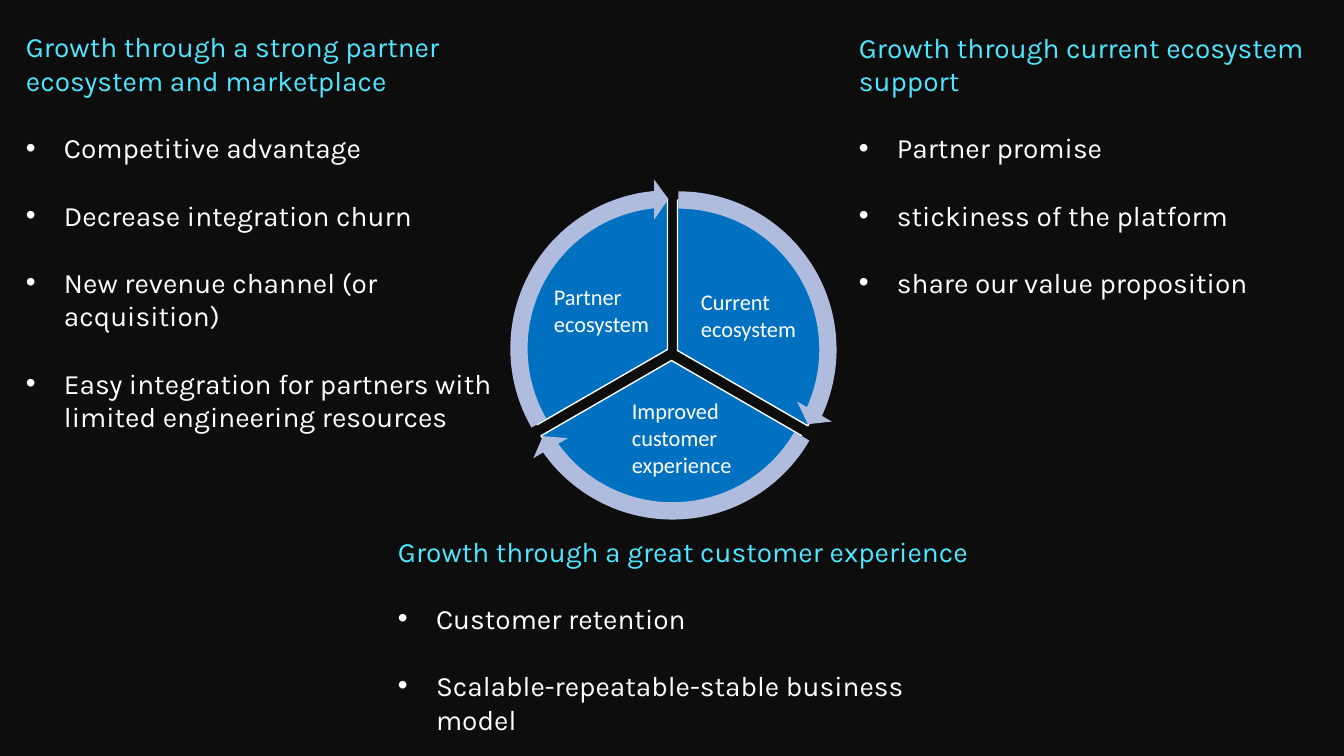
from dataclasses import dataclass

from lxml.etree import SubElement
from pptx import Presentation
from pptx.dml.color import RGBColor
from pptx.enum.shapes import MSO_SHAPE as Preset
from pptx.enum.text import MSO_AUTO_SIZE as AutoSize
from pptx.oxml.ns import qn
from pptx.util import Emu, Pt

EMU_PER_PIXEL = 914400 / 100.8
ANGLE_UNIT = 0.6  # adjustment value per degree


@dataclass(frozen=True)
class Theme:
    """Colours, fonts and sizes of the slide."""
    background: str = "0D0D0D"
    heading: str = "50E6FF"
    text: str = "FFFFFF"
    sector: str = "0070C0"
    arrow: str = "B0BCDE"
    body_font: str = "Karla"
    label_font: str = "Calibri"
    body_size: int = 20
    label_size: int = 16
    paragraph_gap: int = 24
    bullet_indent: int = 38


def pixels(length):
    """Turn pixels into EMU."""
    return Emu(round(length * EMU_PER_PIXEL))


def write(paragraph, text, *, font, size, color, before=0, indent=0):
    """Fill a paragraph; a positive indent makes it a bullet."""
    run = paragraph.add_run()
    run.text = text
    run.font.name = font
    run.font.size = Pt(size)
    run.font.color.rgb = RGBColor.from_string(color)
    paragraph.space_before = Pt(before)
    if indent:
        properties = paragraph._p.get_or_add_pPr()
        properties.set("marL", str(pixels(indent)))
        properties.set("indent", str(-pixels(indent)))
        SubElement(properties, qn("a:buFont"), typeface="Arial")
        SubElement(properties, qn("a:buChar"), char="•")


class SlideBuilder:
    """Adds elements in one style to the current slide."""

    def __init__(self, slide, theme):
        """Keep slide and theme, and paint the background."""
        self.slide = slide
        self.theme = theme
        fill = slide.background.fill
        fill.solid()
        fill.fore_color.rgb = RGBColor.from_string(theme.background)

    def text_frame(self, box):
        """Add a wrapping text box and return its frame."""
        frame = self.slide.shapes.add_textbox(*map(pixels, box)).text_frame
        frame.word_wrap = True
        frame.auto_size = AutoSize.SHAPE_TO_FIT_TEXT
        return frame

    def growth_list(self, box, heading, bullets):
        """Add a heading with bullets below it."""
        theme = self.theme
        frame = self.text_frame(box)
        frame.margin_left = frame.margin_right = 0
        frame.margin_top = frame.margin_bottom = 0
        style = dict(font=theme.body_font, size=theme.body_size,
                     before=theme.paragraph_gap)
        write(frame.paragraphs[0], heading, color=theme.heading, **style)
        for bullet in bullets:
            write(frame.add_paragraph(), bullet, color=theme.text,
                  indent=theme.bullet_indent, **style)

    def label(self, box, text):
        """Add the label of a sector."""
        theme = self.theme
        write(self.text_frame(box).paragraphs[0], text, font=theme.label_font,
              size=theme.label_size, color=theme.text)

    def round_shape(self, preset, left, top, size, adjustments, fill, line=None):
        """Add an adjusted preset in a square frame."""
        shape = self.slide.shapes.add_shape(
            preset, *map(pixels, (left, top, size, size)))
        for index, value in enumerate(adjustments):
            shape.adjustments[index] = value
        shape.shadow.inherit = False
        shape.fill.solid()
        shape.fill.fore_color.rgb = RGBColor.from_string(fill)
        if line:
            shape.line.color.rgb = RGBColor.from_string(line)
            shape.line.width = Pt(1)
        else:
            shape.line.fill.background()

    def sector(self, left, top, start):
        """Add a third of the pie, from a start angle in degrees."""
        angles = [start * ANGLE_UNIT, (start + 120) % 360 * ANGLE_UNIT]
        self.round_shape(Preset.PIE, left, top, 301, angles,
                         self.theme.sector, self.theme.text)

    def cycle_arrow(self, left, top, start):
        """Add the arrow that runs round a sector."""
        head_angle = 3.275
        end = (start + 120) % 360 * ANGLE_UNIT - head_angle
        self.round_shape(Preset.CIRCULAR_ARROW, left, top, 339,
                         [0.051, head_angle, end, start * ANGLE_UNIT, 0.059],
                         self.theme.arrow)


GROWTH_LISTS = [
    ((859, 30, 446, 271), "Growth through current ecosystem support",
     ["Partner promise", "stickiness of the platform",
      "share our value proposition"]),
    ((398, 534, 587, 169), "Growth through a great customer experience",
     ["Customer retention", "Scalable-repeatable-stable business model"]),
    ((26, 30, 477, 407),
     "Growth through a strong partner ecosystem and marketplace",
     ["Competitive advantage", "Decrease integration churn",
      "New revenue channel (or acquisition)",
      "Easy integration for partners with limited engineering resources"]),
]
# start angle, sector corner, arrow corner
CYCLE = [
    (270, (527, 200), (509, 180)),
    (30, (521, 210), (503, 192)),
    (150, (517, 199), (499, 179)),
]
LABELS = [
    ((691, 283, 134, 65), "Current ecosystem"),
    ((622, 392, 182, 92), "Improved customer experience"),
    ((544, 278, 168, 65), "Partner ecosystem"),
]


def main():
    """Build and save the slide."""
    presentation = Presentation()
    presentation.slide_width = pixels(1344)
    presentation.slide_height = pixels(756)
    slide = presentation.slides.add_slide(presentation.slide_layouts[6])
    builder = SlideBuilder(slide, Theme())
    for start, corner, _ in CYCLE:
        builder.sector(*corner, start)
    for start, _, corner in CYCLE:
        builder.cycle_arrow(*corner, start)
    for growth_list in GROWTH_LISTS:
        builder.growth_list(*growth_list)
    for label in LABELS:
        builder.label(*label)
    presentation.save("out.pptx")


main()
